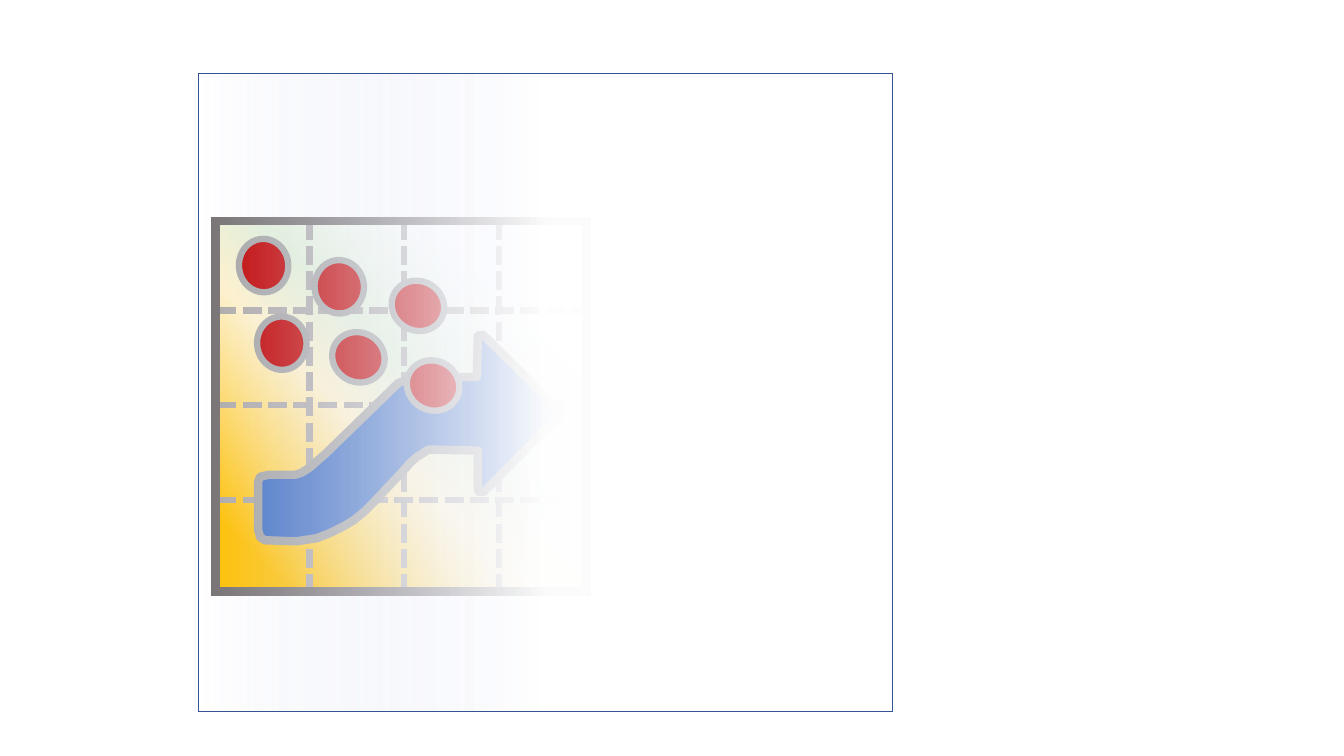
"""Build a slide with a rising arrow over a fading grid and six red dots."""
from pptx import Presentation
from pptx import util as u
from pptx.dml import color
from pptx.enum import dml, shapes
from pptx.oxml import parse_xml
from pptx.oxml import ns

SLIDE_SIZE = 13.33, 7.5
BOARD = 2.13, 2.19, 3.68, 3.68
FRAME = 2.14, 2.19, 3.68, 3.68
VEIL = 1.97, 0.73, 6.88, 6.33
BOARD_STOPS = [(21, "FFFFFF", 100), (44, "E2F0D9", 100),
               (58, "FFF2CC", 100), (90, "FFC000", 100)]
VEIL_STOPS = [(0, "FFFFFF", 97), (50, "FFFFFF", 97), (100, "E0E5F7", 0)]

GRID_STEP = 0.94
GRID_LINES = 3
FIRST_ROW, ROW_RIGHT, ROW_LEFT = 3.08, 5.85, 2.17
FIRST_COLUMN, COLUMN_TOP, COLUMN_BOTTOM = 3.07, 2.19, 5.87

DOT_SIZE = 0.49, 0.53
DOT_GROUPS = [
    (299.3, [(3.31, 3.28), (3.9, 2.77), (4.05, 3.56)]),
    (355.7, [(2.37, 2.37), (3.12, 2.58), (2.55, 3.14)]),
]
ARROW = [
    (3.95, 3.8), (4.06, 3.76), (4.13, 3.74), (4.22, 3.74), (4.27, 3.74),
    (4.73, 3.74), (4.74, 3.33), (4.79, 3.32), (5.53, 4.05), (5.55, 4.06),
    (5.55, 4.12), (4.8, 4.88), (4.75, 4.88), (4.74, 4.84), (4.74, 4.47),
    (4.26, 4.46), (4.23, 4.47), (4.19, 4.5), (4.14, 4.53), (4.07, 4.59),
    (4.01, 4.66), (3.85, 4.83), (3.69, 5), (3.62, 5.07), (3.51, 5.16),
    (3.41, 5.22), (3.27, 5.29), (3.14, 5.34), (2.94, 5.37), (2.63, 5.36),
    (2.58, 5.33), (2.57, 5.29), (2.56, 5.26), (2.56, 4.78), (2.58, 4.73),
    (2.62, 4.72), (2.67, 4.71), (2.93, 4.71), (2.99, 4.69), (3.07, 4.64),
    (3.23, 4.5),
]
GRID_FORMAT = {"width": u.Pt(4.5), "dash_style": dml.MSO_LINE.SQUARE_DOT}
DOT_FORMAT = {"width": u.Pt(4.5)}
THICK_FORMAT = {"width": u.Pt(6)}
VEIL_FORMAT = {"width": u.Pt(1)}


def rgb(value):
    return color.RGBColor.from_string(value)


def inches(values):
    return [u.Inches(value) for value in values]


def style_line(part, shade, line_format):
    part.line.color.rgb = rgb(shade)
    for name, value in line_format.items():
        setattr(part.line, name, value)


def paint(part, fill, shade, line_format):
    part.shadow.inherit = False
    if fill:
        part.fill.solid()
        part.fill.fore_color.rgb = rgb(fill)
    else:
        part.fill.background()
    style_line(part, shade, line_format)


def add_panel(parent, box, shade, line_format):
    panel = parent.add_shape(shapes.MSO_SHAPE.RECTANGLE, *inches(box))
    paint(panel, None, shade, line_format)
    panel.line._get_or_add_ln().append(
        parse_xml(f'<a:miter {ns.nsdecls("a")} lim="800000"/>'))
    return panel


def fill_gradient(panel, stops, angle):
    marks = "".join(
        f'<a:gs pos="{position * 1000}"><a:srgbClr val="{shade}">'
        f'<a:alpha val="{opacity * 1000}"/></a:srgbClr></a:gs>'
        for position, shade, opacity in stops)
    gradient = parse_xml(
        f'<a:gradFill {ns.nsdecls("a")} rotWithShape="1"><a:gsLst>{marks}</a:gsLst>'
        f'<a:lin ang="{angle * 60000}" scaled="0"/></a:gradFill>')
    properties = panel._element.spPr
    properties.replace(properties.find(ns.qn("a:noFill")), gradient)


def add_grid(parent):
    grid = parent.add_group_shape().shapes
    offsets = [GRID_STEP * index for index in range(GRID_LINES)]
    rows = [(ROW_RIGHT, FIRST_ROW + gap, ROW_LEFT, FIRST_ROW + gap) for gap in offsets]
    columns = [(FIRST_COLUMN + gap, COLUMN_TOP, FIRST_COLUMN + gap, COLUMN_BOTTOM)
               for gap in offsets]
    for ends in rows + columns:
        rule = grid.add_connector(shapes.MSO_CONNECTOR.STRAIGHT, *inches(ends))
        style_line(rule, "AFABAB", GRID_FORMAT)
        rule._element.spPr.append(parse_xml(f'<a:effectLst {ns.nsdecls("a")}/>'))


def add_arrow(parent):
    start, *bends = [inches(point) for point in ARROW]
    outline = parent.build_freeform(*start)
    outline.add_line_segments(bends, close=True)
    paint(outline.convert_to_shape(), "4472C4", "A6A6A6", THICK_FORMAT)


def add_dots(parent):
    for rotation, corners in DOT_GROUPS:
        cluster = parent.add_group_shape().shapes
        for corner in corners:
            dot = cluster.add_shape(shapes.MSO_SHAPE.OVAL, *inches(corner + DOT_SIZE))
            dot.rotation = rotation
            paint(dot, "C00000", "A6A6A6", DOT_FORMAT)


def main():
    deck = Presentation()
    deck.slide_width, deck.slide_height = inches(SLIDE_SIZE)
    canvas = deck.slides.add_slide(deck.slide_layouts[6]).shapes
    board = add_panel(canvas, BOARD, "767171", THICK_FORMAT)
    fill_gradient(board, BOARD_STOPS, 135)
    add_grid(canvas)
    add_panel(canvas, FRAME, "767171", THICK_FORMAT)
    add_arrow(canvas)
    add_dots(canvas)
    veil = add_panel(canvas, VEIL, "325491", VEIL_FORMAT)
    fill_gradient(veil, VEIL_STOPS, 180)
    deck.save("out.pptx")


if __name__ == "__main__":
    main()
